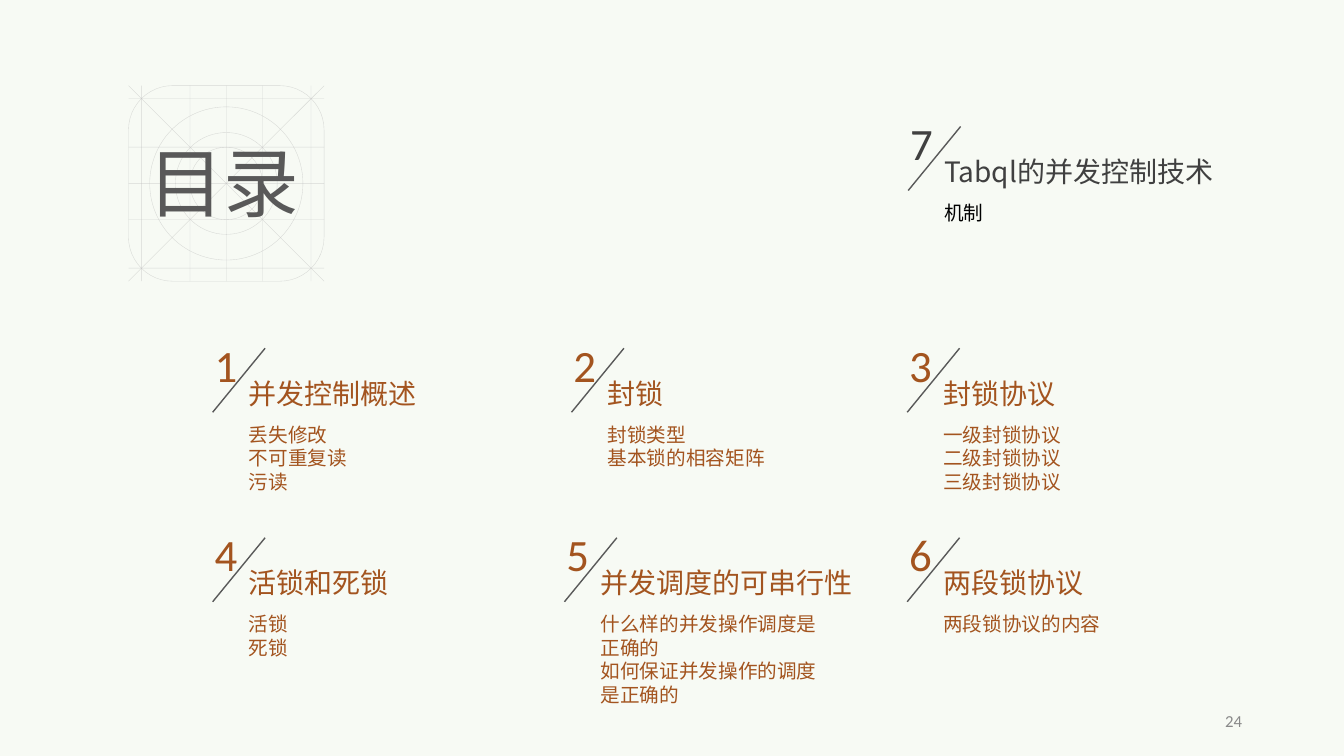
import pptx
import pptx.util
import pptx.dml.color
import pptx.enum.shapes
import pptx.enum.text
import pptx.oxml
import pptx.oxml.ns

CELL = 0.1  # grid pitch in inches: columns and rows alike
SANS, NUM = "Noto Sans CJK SC", "Calibri"
RUST, GREY, DARK, PALE = "A3541F", "595959", "404040", "BFBFBF"
KIND = pptx.enum.shapes.MSO_SHAPE
ALIGN = pptx.enum.text.PP_ALIGN
ANCHOR = pptx.enum.text.MSO_ANCHOR


def tint(code):
    return pptx.dml.color.RGBColor.from_string(code)


def grid(*cells):
    return [pptx.util.Inches(cell * CELL) for cell in cells]


def add(node, tag, **attrs):
    child = node.makeelement(pptx.oxml.ns.qn(tag), attrs)
    node.append(child)
    return child


class Page:
    """Holds the slide and its line style."""

    def __init__(self, slide, back):
        self.slide = slide
        fill = slide.background.fill
        fill.solid()
        fill.fore_color.rgb = tint(back)

    def stroke(self, item, color, width, alpha):
        item.line.color.rgb = tint(color)
        item.line.width = pptx.util.Pt(width)
        if alpha:
            for node in item.line._ln.iter(pptx.oxml.ns.qn("a:srgbClr")):
                add(node, "a:alpha", val=str(alpha * 1000))

    def line(self, x1, y1, x2, y2, color=PALE, width=0.25, alpha=None):
        item = self.slide.shapes.add_connector(
            pptx.enum.shapes.MSO_CONNECTOR.STRAIGHT, *grid(x1, y1, x2, y2))
        self.stroke(item, color, width, alpha)
        add(item._element.spPr, "a:effectLst")

    def ring(self, kind, x, y, half, alpha):
        item = self.slide.shapes.add_shape(
            kind, *grid(x - half, y - half, 2 * half, 2 * half))
        item.shadow.inherit = False
        item.fill.background()
        self.stroke(item, PALE, 0.25, alpha)
        return item

    def text(self, words, x, y, w, h, size=14, font=SANS, color=RUST,
             align=ALIGN.LEFT, anchor=ANCHOR.TOP):
        frame = self.slide.shapes.add_textbox(*grid(x, y, w, h)).text_frame
        frame.word_wrap = True
        frame.vertical_anchor = anchor
        frame.text = words
        for para in frame.paragraphs:
            para.alignment = align
            for run in para.runs:
                run.font.size = pptx.util.Pt(size)
                run.font.name = font
                run.font.color.rgb = tint(color)
                add(run.font._element, "a:ea", typeface=SANS)

    def emblem(self, x, y, alpha=56):
        for half in (7.6, 5.05, 3.6):
            self.ring(KIND.OVAL, x, y, half, alpha)
        frame = self.ring(KIND.ROUNDED_RECTANGLE, x, y, 9.7, alpha)
        frame.adjustments[0] = 0.226
        for step in (-8.4, -3.6, 0, 3.6, 8.4):
            self.line(x + step, y - 9.7, x + step, y + 9.7, alpha=alpha)
            self.line(x - 9.7, y + step, x + 9.7, y + step, alpha=alpha)
        for side in (-9.7, 9.7):
            self.line(x - 9.7, y + side, x + 9.7, y - side, alpha=alpha)

    def entry(self, num, x, y, title, notes, rows, wide=22.6,
              color=RUST, ink=RUST):
        self.text(num, x, y, 4.5, 6.4, size=32, font=NUM, color=color)
        self.line(x + 6, y + 1.55, x + 0.8, y + 7.9, color=GREY, width=1)
        self.text(title, x + 3.4, y + 3.85, wide, 4.4, size=20, color=color)
        self.text(notes, x + 3.4, y + 8.45, 25.3, 1 + 2.35 * rows, color=ink)


def main():
    deck = pptx.Presentation()
    deck.slide_width, deck.slide_height = grid(133.33, 75)
    page = Page(deck.slides.add_slide(deck.slide_layouts[6]), "F7FAF4")

    # Heading over its construction grid
    page.emblem(22.45, 18.2)
    page.text("目录", 13.7, 13, 17.8, 10, size=54, color=GREY)

    # Chapters: two rows of three, then the current one at top right
    top, low = 33, 51.8
    left, mid, right = 20.3, 55.9, 89.2
    page.entry("1", left, top, "并发控制概述", "丢失修改\n不可重复读\n污读", 3)
    page.entry("2", mid, top, "封锁", "封锁类型\n基本锁的相容矩阵", 2)
    page.entry("3", right, top, "封锁协议",
               "一级封锁协议\n二级封锁协议\n三级封锁协议", 3)
    page.entry("4", left, low, "活锁和死锁", "活锁\n死锁", 2)
    page.entry("5", mid - 0.7, low, "并发调度的可串行性",
               "什么样的并发操作调度是正确的\n如何保证并发操作的调度是正确的",
               4, wide=27.9)
    page.entry("6", right, low, "两段锁协议", "两段锁协议的内容", 1, wide=30.6)
    page.entry("7", right + 0.1, 11, "Tabql的并发控制技术", "机制", 1,
               wide=36.5, color=DARK, ink="000000")

    # Page number
    page.text("24", 94.2, 69.5, 30, 4, size=12, font=NUM, color="898989",
              align=ALIGN.RIGHT, anchor=ANCHOR.MIDDLE)
    deck.save("out.pptx")


if __name__ == "__main__":
    main()
